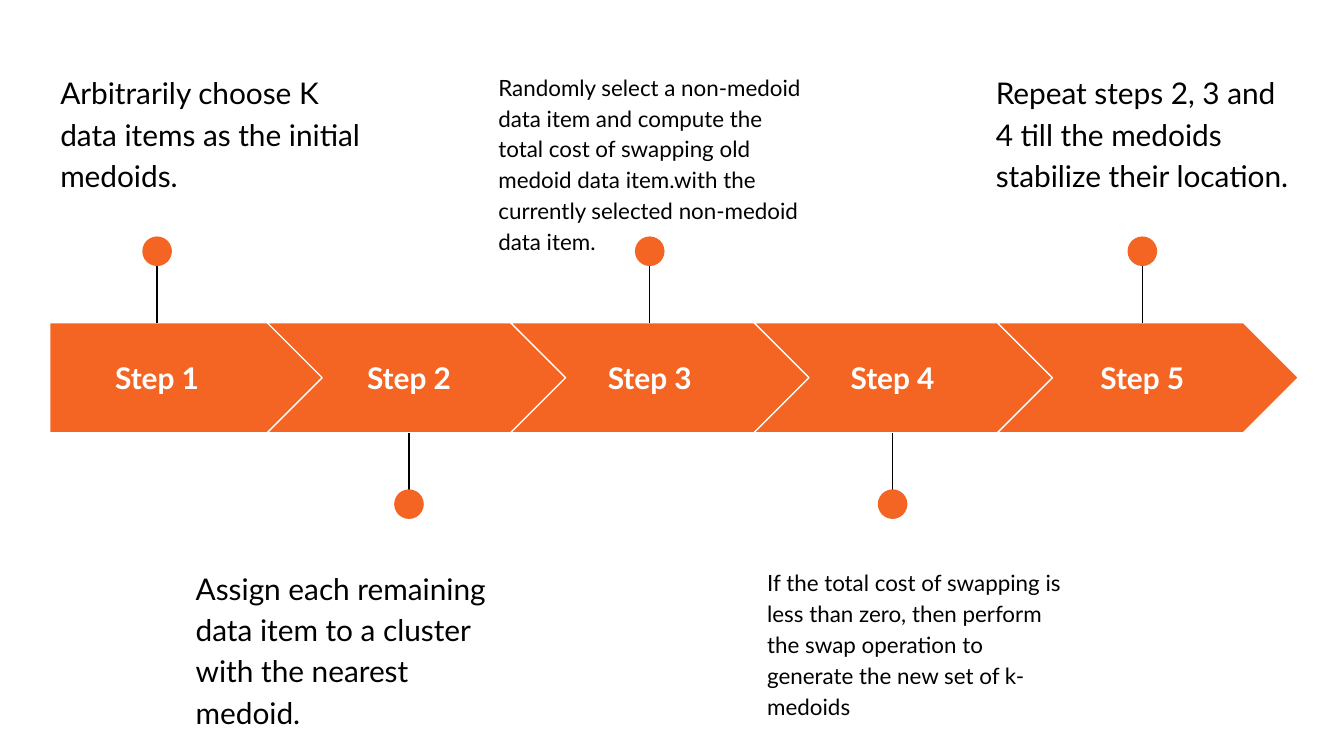
from collections import namedtuple
from dataclasses import dataclass

from lxml import etree
from pptx import Presentation
from pptx.dml.color import RGBColor
from pptx.enum.shapes import MSO_CONNECTOR, MSO_SHAPE
from pptx.enum.text import MSO_ANCHOR, PP_ALIGN
from pptx.oxml.ns import qn
from pptx.util import Cm, Pt

STRAIGHT = MSO_CONNECTOR.STRAIGHT
PENTAGON, CHEVRON, OVAL = MSO_SHAPE.PENTAGON, MSO_SHAPE.CHEVRON, MSO_SHAPE.OVAL
TOP, MIDDLE = MSO_ANCHOR.TOP, MSO_ANCHOR.MIDDLE
LEFT, CENTER = PP_ALIGN.LEFT, PP_ALIGN.CENTER


@dataclass(frozen=True)
class Theme:
    accent: RGBColor = RGBColor(0xF4, 0x65, 0x24)
    light: RGBColor = RGBColor(0xFF, 0xFF, 0xFF)
    dark: RGBColor = RGBColor(0, 0, 0)
    font: str = "Lato"
    large: int = 16
    small: int = 12
    line: float = 0.75


THEME = Theme()
Box = namedtuple("Box", "x y w h")  # centimetres
Step = namedtuple("Step", "pin_x note_x size note")

# pin_x and note_x are measured from the left end of the band
STEPS = [
    Step(2.03, -0.05, THEME.large,
         "Arbitrarily choose K data items as the initial medoids."),
    Step(6.79, 2.51, THEME.large,
         "Assign each remaining data item to a cluster with the nearest medoid."),
    Step(11.34, 8.23, THEME.small,
         "Randomly select a non-medoid data item and compute the total cost of "
         "swapping old medoid data item.with the currently selected non-medoid "
         "data item."),
    Step(15.93, 13.31, THEME.small,
         "If the total cost of swapping is less than zero, then perform the swap "
         "operation to generate the new set of k-medoids"),
    Step(20.65, 17.63, THEME.large,
         "Repeat steps 2, 3 and 4 till the medoids stabilize their location."),
]


def add_filled(slide, kind, box):
    sp = slide.shapes.add_shape(kind, *map(Cm, box))
    sp.shadow.inherit = False
    sp.fill.solid()
    sp.fill.fore_color.rgb = THEME.accent
    sp.line.fill.background()
    return sp


def add_text(slide, box, text, size, color, align=LEFT, anchor=TOP, bold=False):
    tf = slide.shapes.add_textbox(*map(Cm, box)).text_frame
    tf.word_wrap = True
    tf.vertical_anchor = anchor
    tf.margin_left = tf.margin_right = tf.margin_top = tf.margin_bottom = Cm(0.25)
    p = tf.paragraphs[0]
    p.text = text
    p.alignment = align
    p.font.name, p.font.size, p.font.bold = THEME.font, Pt(size), bold
    p.font.color.rgb = color
    return p


def add_arrow(slide, band, i):
    """Segment i of the band: a pentagon first, then evenly spaced chevrons."""
    if i == 0:
        kind, box = PENTAGON, Box(band.x, band.y, 5.2, band.h)
    else:
        kind, box = CHEVRON, Box(band.x + 4.11 + 4.6 * (i - 1), band.y, 5.69, band.h)
    sp = add_filled(slide, kind, box)
    sp.adjustments[0] = 0.5
    sp.line.color.rgb = THEME.light
    sp.line.width = Pt(THEME.line)


def add_pin(slide, x, edge, direction):
    """Stem from the band edge to a dot; direction is -1 up, 1 down."""
    d = 0.56
    end = edge + direction * 1.35
    stem = slide.shapes.add_connector(STRAIGHT, *map(Cm, (x, edge, x, end)))
    stem.line.color.rgb = THEME.dark
    stem.line.width = Pt(THEME.line)
    etree.SubElement(stem._element.spPr, qn("a:effectLst"))
    add_filled(slide, OVAL, Box(x - d / 2, end - d / 2, d, d))


def add_step(slide, band, i, step):
    up = i % 2 == 0
    x = band.x + step.pin_x
    # Arrow and its label, centred on the pin
    add_arrow(slide, band, i)
    add_text(slide, Box(x - 1.83, band.y + 0.39, 3.66, 1.3), f"Step {i + 1}",
             THEME.large, THEME.light, CENTER, MIDDLE, bold=True)
    # Pin and note, alternating above and below the band
    add_pin(slide, x, band.y if up else band.y + band.h, -1 if up else 1)
    note_y = band.y - 5.03 if up else band.y + 4.34
    p = add_text(slide, Box(band.x + step.note_x, note_y, 6.22, 2.51),
                 step.note, step.size, THEME.dark)
    p.line_spacing = 1.15
    p.space_after = Pt(16)


def add_timeline(slide, band):
    for i, step in enumerate(STEPS):
        add_step(slide, band, i, step)


def main():
    prs = Presentation()
    prs.slide_width, prs.slide_height = Cm(25.4), Cm(14.29)
    slide = prs.slides.add_slide(prs.slide_layouts[6])
    add_timeline(slide, Box(0.94, 6.1, 23.6, 2.08))
    prs.save("out.pptx")


if __name__ == "__main__":
    main()
